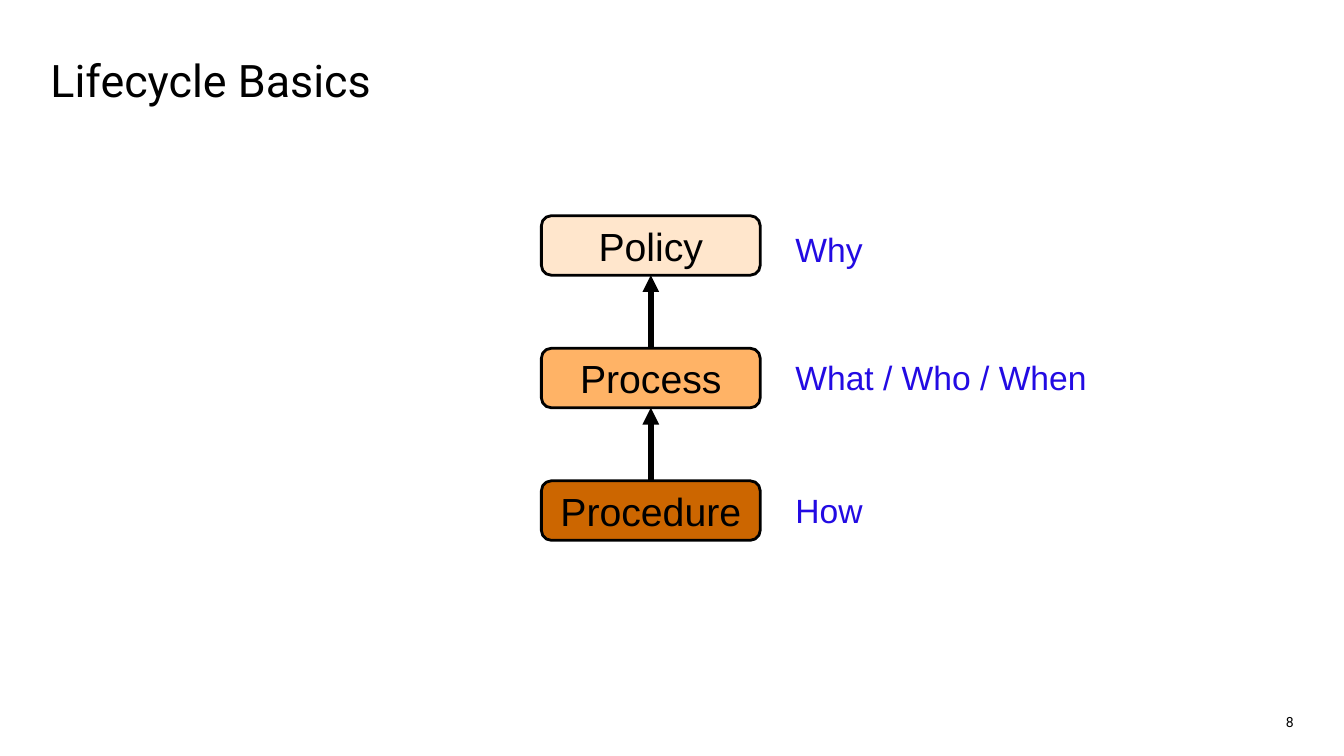
from lxml.etree import SubElement
from pptx import Presentation
from pptx.dml.color import RGBColor
from pptx.enum.shapes import MSO_CONNECTOR, MSO_SHAPE
from pptx.enum.text import MSO_ANCHOR as Anchor, MSO_AUTO_SIZE as AutoSize, PP_ALIGN as Align
from pptx.oxml.ns import qn
from pptx.util import Inches, Pt

BLACK = RGBColor(0x00, 0x00, 0x00)
WHITE = RGBColor(0xFF, 0xFF, 0xFF)
BLUE = RGBColor(0x23, 0x0B, 0xE3)
PALE_ORANGE = RGBColor(0xFF, 0xE6, 0xCC)
ORANGE = RGBColor(0xFF, 0xB3, 0x66)
DARK_ORANGE = RGBColor(0xCC, 0x66, 0x00)

BOX_LEFT, BOX_WIDTH, BOX_HEIGHT = 5.37, 2.17, 0.59
FIRST_ROW, LAST_ROW = 2.14, 4.77
LABEL_LEFT, LABEL_HEIGHT = 7.79, 0.5

LEVELS = [
    ("Policy", PALE_ORANGE, "Why", 0.88, 0.08),
    ("Process", ORANGE, "What / Who / When", 3.12, 0.04),
    ("Procedure", DARK_ORANGE, "How", 0.88, 0.04),
]
ROW_PITCH = (LAST_ROW - FIRST_ROW) / (len(LEVELS) - 1)


def write_text(shape, text, font_name, size, color, align=Align.LEFT, anchor=Anchor.MIDDLE):
    frame = shape.text_frame
    frame.text = text
    frame.vertical_anchor = anchor
    paragraph = frame.paragraphs[0]
    paragraph.alignment = align
    font = paragraph.runs[0].font
    font.name = font_name
    font.size = Pt(size)
    font.color.rgb = color


def add_plain_text(slide, bounds, text, size, align, anchor):
    box = slide.shapes.add_textbox(*map(Inches, bounds))
    frame = box.text_frame
    frame.word_wrap = True
    frame.margin_left = frame.margin_right = frame.margin_top = frame.margin_bottom = 0
    write_text(box, text, "Roboto", size, BLACK, align, anchor)


def add_level_box(slide, top, text, fill):
    box = slide.shapes.add_shape(
        MSO_SHAPE.ROUNDED_RECTANGLE,
        Inches(BOX_LEFT), Inches(top), Inches(BOX_WIDTH), Inches(BOX_HEIGHT),
    )
    box.shadow.inherit = False
    box.fill.solid()
    box.fill.fore_color.rgb = fill
    box.line.color.rgb = BLACK
    box.line.width = Pt(2)
    write_text(box, text, "Arial", 28, BLACK, Align.CENTER)
    return box


def add_label(slide, top, width, text):
    label = slide.shapes.add_textbox(
        Inches(LABEL_LEFT), Inches(top), Inches(width), Inches(LABEL_HEIGHT)
    )
    label.text_frame.word_wrap = False
    label.text_frame.auto_size = AutoSize.SHAPE_TO_FIT_TEXT
    write_text(label, text, "Arial", 24, BLUE, anchor=Anchor.TOP)


def add_upward_arrow(slide, lower, upper):
    arrow = slide.shapes.add_connector(MSO_CONNECTOR.STRAIGHT, 0, 0, 0, 0)
    arrow.begin_connect(lower, 0)
    arrow.end_connect(upper, 2)
    arrow.line.color.rgb = BLACK
    arrow.line.width = Pt(4)
    SubElement(arrow.line._get_or_add_ln(), qn("a:tailEnd"), type="triangle")
    SubElement(arrow._element.spPr, qn("a:effectLst"))


def main():
    presentation = Presentation()
    presentation.slide_width = Inches(13.33)
    presentation.slide_height = Inches(7.5)
    slide = presentation.slides.add_slide(presentation.slide_layouts[6])
    slide.background.fill.solid()
    slide.background.fill.fore_color.rgb = WHITE

    add_plain_text(slide, (0.5, 0.5, 9.75, 0.57), "Lifecycle Basics", 32, Align.LEFT, Anchor.MIDDLE)
    add_plain_text(slide, (12.51, 7, 0.32, 0.25), "8", 10, Align.RIGHT, Anchor.BOTTOM)

    boxes = []
    for row, (name, fill, question, label_width, label_offset) in enumerate(LEVELS):
        top = FIRST_ROW + row * ROW_PITCH
        boxes.append(add_level_box(slide, top, name, fill))
        add_label(slide, top + label_offset, label_width, question)

    for upper, lower in zip(boxes, boxes[1:]):
        add_upward_arrow(slide, lower, upper)

    presentation.save("out.pptx")


if __name__ == "__main__":
    main()
